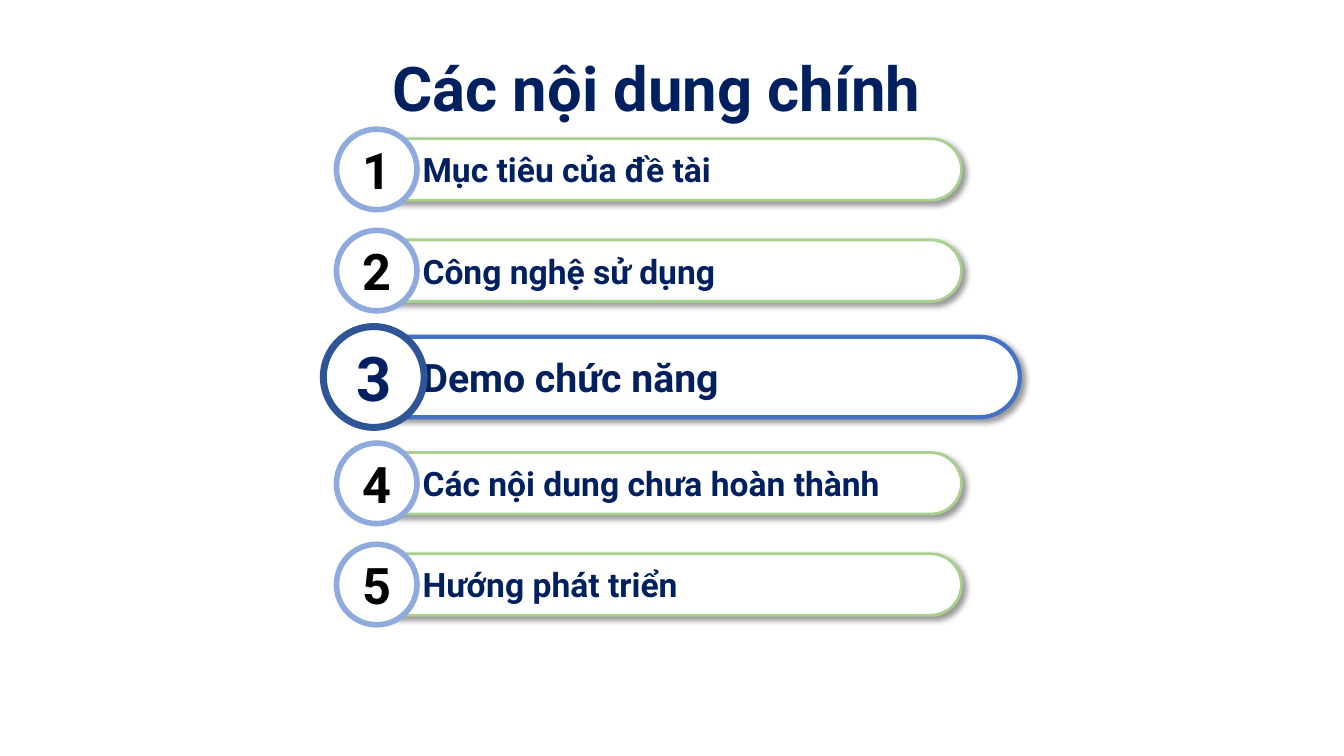
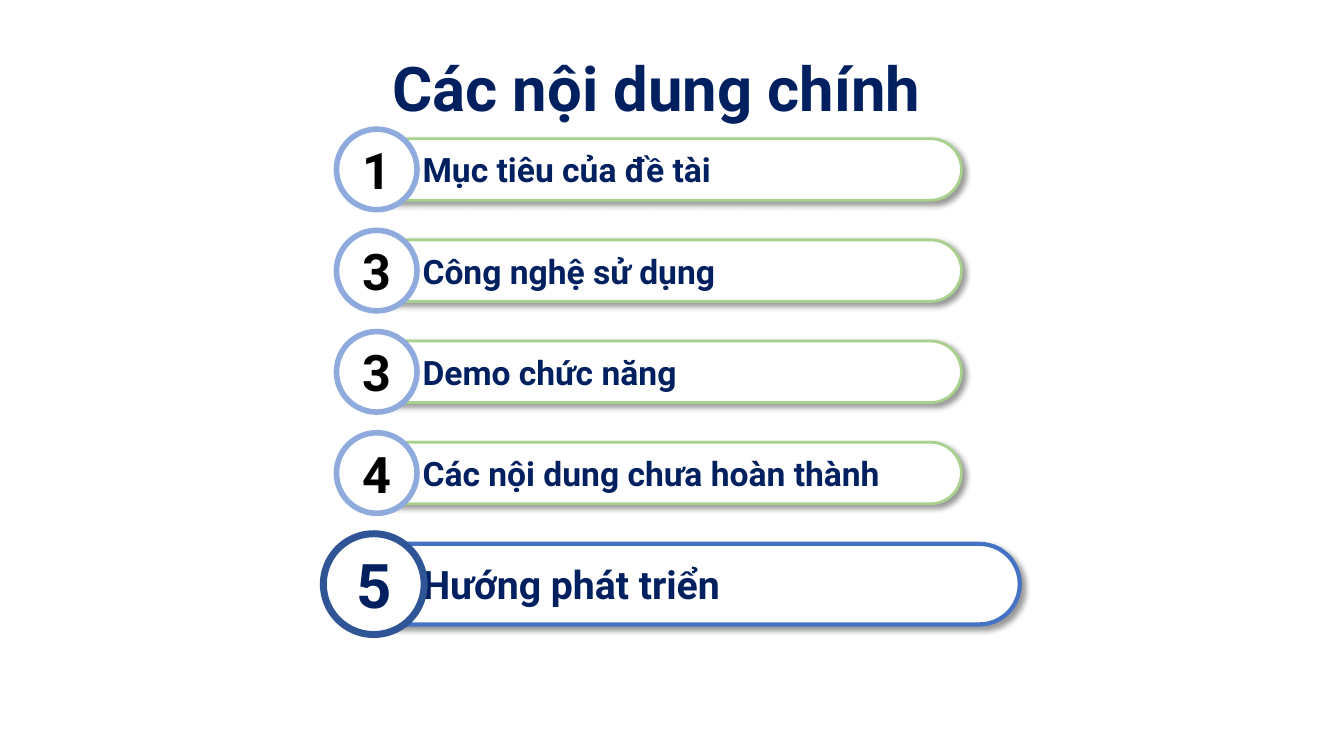
from dataclasses import dataclass

from lxml.etree import SubElement
from pptx import Presentation
from pptx.dml.color import RGBColor
from pptx.enum.shapes import MSO_SHAPE
from pptx.enum.text import MSO_ANCHOR, PP_ALIGN
from pptx.oxml.ns import qn
from pptx.util import Cm, Pt

FONT = "Roboto"
NAVY, BLACK, WHITE = "002060", "000000", "FFFFFF"
HEADING = "Các nội dung chính"
TOPICS = [
    "Mục tiêu của đề tài",
    "Công nghệ sử dụng",
    "Demo chức năng",
    "Các nội dung chưa hoàn thành",
    "Hướng phát triển",
]
FIRST_CENTER = 4.27
ROW_PITCH = 2.55
LABEL_LEFT = 10.65
ROUND_INSET = 0.293


@dataclass
class RowStyle:
    left: float
    width: float
    height: float
    badge: float
    bar_line: str
    bar_weight: float
    badge_line: str
    badge_weight: float
    label_size: int
    number_size: int
    number_color: str


NORMAL = RowStyle(8.48, 15.75, 1.55, 2.03, "A9D18E", 2, "8FAADC", 4, 24, 36, BLACK)
CURRENT = RowStyle(8.15, 17.55, 2.03, 2.54, "4472C4", 3, "2F5597", 5, 28, 44, NAVY)


def rgb(value):
    return RGBColor.from_string(value)


def write(shape, text, size, color=NAVY, align=PP_ALIGN.LEFT,
          anchor=MSO_ANCHOR.MIDDLE, inset=0.0):
    frame = shape.text_frame
    frame.word_wrap = True
    frame.vertical_anchor = anchor
    frame.margin_left = Cm(inset)
    frame.margin_right = 0
    paragraph = frame.paragraphs[0]
    paragraph.alignment = align
    run = paragraph.add_run()
    run.text = text
    run.font.name = FONT
    run.font.size = Pt(size)
    run.font.bold = True
    run.font.color.rgb = rgb(color)


def outlined(slide, kind, left, top, width, height, line, weight):
    shape = slide.shapes.add_shape(kind, Cm(left), Cm(top), Cm(width), Cm(height))
    shape.shadow.inherit = False
    shape.fill.solid()
    shape.fill.fore_color.rgb = rgb(WHITE)
    shape.line.color.rgb = rgb(line)
    shape.line.width = Pt(weight)
    return shape


def drop_shadow(shape):
    effects = shape.element.spPr.find(qn("a:effectLst"))
    shadow = SubElement(effects, qn("a:outerShdw"), blurRad=str(Pt(4)),
                        dist=str(Pt(3)), dir="2700000", algn="tl", rotWithShape="0")
    color = SubElement(shadow, qn("a:srgbClr"), val=BLACK)
    SubElement(color, qn("a:alpha"), val="40000")


def add_row(slide, center, number, topic, style):
    bar = outlined(slide, MSO_SHAPE.ROUNDED_RECTANGLE, style.left,
                   center - style.height / 2, style.width, style.height,
                   style.bar_line, style.bar_weight)
    bar.adjustments[0] = 0.5
    drop_shadow(bar)
    corner = style.height / 2 * ROUND_INSET
    write(bar, topic, style.label_size, inset=LABEL_LEFT - style.left - corner)

    badge = outlined(slide, MSO_SHAPE.OVAL, style.left, center - style.badge / 2,
                     style.badge, style.badge, style.badge_line, style.badge_weight)
    write(badge, number, style.number_size, color=style.number_color,
          align=PP_ALIGN.CENTER)


def add_agenda(deck, layout, numbers, current, current_pitch):
    slide = deck.slides.add_slide(layout)
    write(slide.shapes.title, HEADING, 44, anchor=MSO_ANCHOR.TOP, inset=0.25)
    center = FIRST_CENTER
    for index, (number, topic) in enumerate(zip(numbers, TOPICS)):
        if index:
            center += current_pitch if current in (index - 1, index) else ROW_PITCH
        style = CURRENT if index == current else NORMAL
        add_row(slide, center, number, topic, style)


def agenda_layout(deck):
    layout = deck.slide_layouts[5]
    title = layout.placeholders[0]
    title.left, title.top = Cm(9.63), Cm(1.12)
    title.width, title.height = Cm(14.6), Cm(2.13)
    return layout


def main():
    deck = Presentation()
    deck.slide_width, deck.slide_height = Cm(33.87), Cm(19.05)
    layout = agenda_layout(deck)
    add_agenda(deck, layout, "12345", current=2, current_pitch=2.68)
    add_agenda(deck, layout, "13345", current=4, current_pitch=2.8)
    deck.save("out.pptx")


if __name__ == "__main__":
    main()
